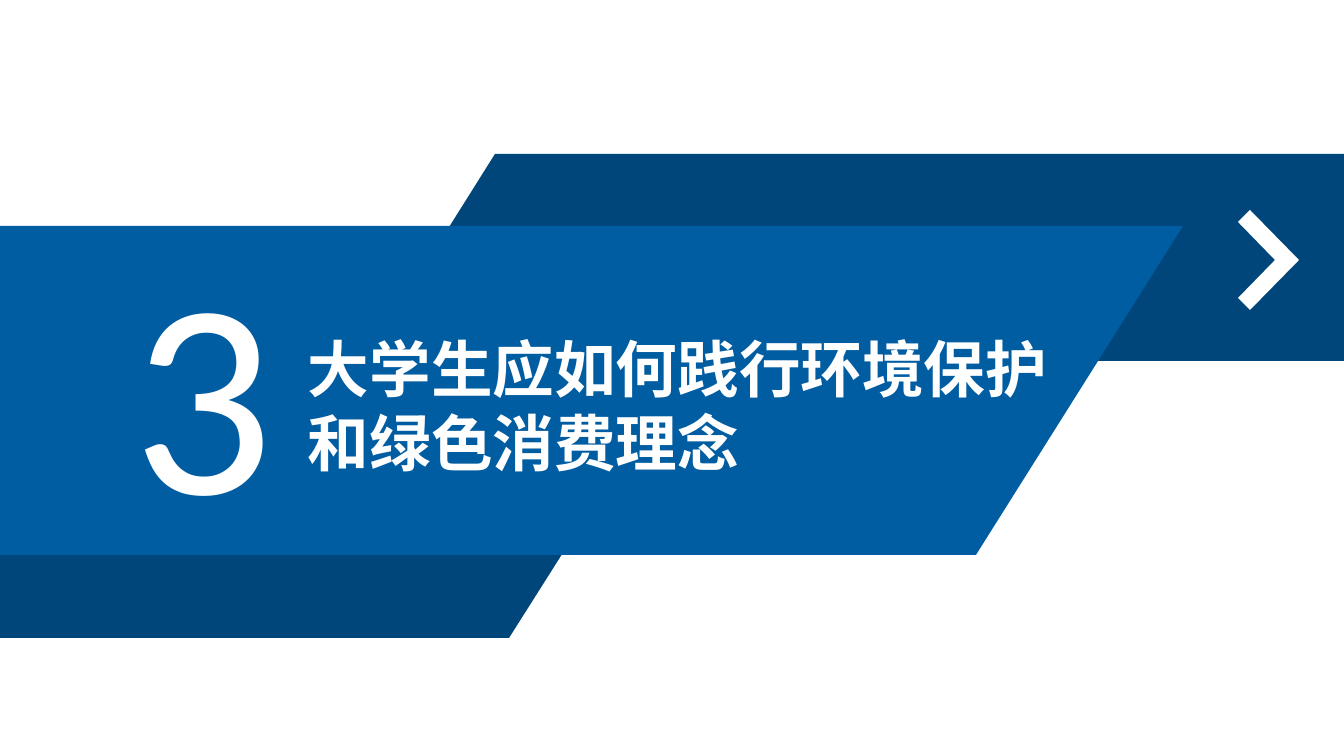
from lxml import etree
from pptx import Presentation
from pptx.dml.color import RGBColor
from pptx.enum.text import MSO_AUTO_SIZE, PP_ALIGN
from pptx.oxml.ns import qn
from pptx.util import Pt

PX = 914400 / 100.8
WIDE, HIGH = 1344, 756
LEFT, CENTER = PP_ALIGN.LEFT, PP_ALIGN.CENTER
FIT = MSO_AUTO_SIZE.SHAPE_TO_FIT_TEXT
COLORS = {"navy": "00467A", "blue": "005DA2", "white": "FFFFFF"}


def emu(px):
    return round(px * PX)


def color(name):
    return RGBColor.from_string(COLORS[name])


def add_poly(slide, points, fill):
    """Draw a closed, borderless outline through px points."""
    path = slide.shapes.build_freeform(*points[0], scale=PX)
    path.add_line_segments(points[1:], close=True)
    shape = path.convert_to_shape()
    shape.shadow.inherit = False
    shape.fill.solid()
    shape.fill.fore_color.rgb = color(fill)
    shape.line.fill.background()


def add_text(slide, box, text, font, size, bold=False, align=LEFT, wrap=True):
    """Place one white run of text in a px box."""
    frame = slide.shapes.add_textbox(*map(emu, box)).text_frame
    frame.word_wrap = wrap
    frame.auto_size = FIT
    para = frame.paragraphs[0]
    para.alignment = align
    run = para.add_run()
    run.text = text
    run.font.name = font
    run.font.size = Pt(size)
    run.font.bold = bold
    run.font.color.rgb = color("white")
    # East Asian glyphs need their own typeface entry
    east = etree.SubElement(run.font._element, qn("a:ea"))
    east.set("typeface", font)


def main():
    deck = Presentation()
    deck.slide_width, deck.slide_height = emu(WIDE), emu(HIGH)
    slide = deck.slides.add_slide(deck.slide_layouts[6])

    # Slanted bands: two dark ones behind, the main one in front
    add_poly(slide, [(WIDE, 361), (365, 361), (495, 154), (WIDE, 154)], "navy")
    add_poly(slide, [(0, 450), (628, 450), (509, 638), (0, 638)], "navy")
    add_poly(slide, [(0, 226), (1183, 226), (976, 555), (0, 555)], "blue")

    # Section number and title
    add_text(slide, (122, 211, 163, 348), "3", "Calibri", 199,
             align=CENTER, wrap=False)
    add_text(slide, (298, 326, 793, 159),
             "大学生应如何践行环境保护和绿色消费理念",
             "Noto Sans CJK SC", 44, bold=True)

    # Chevron
    add_poly(slide, [(1250, 210), (1299, 260), (1250, 310), (1238, 298),
                     (1275, 260), (1238, 222)], "white")

    deck.save("out.pptx")


if __name__ == "__main__":
    main()
